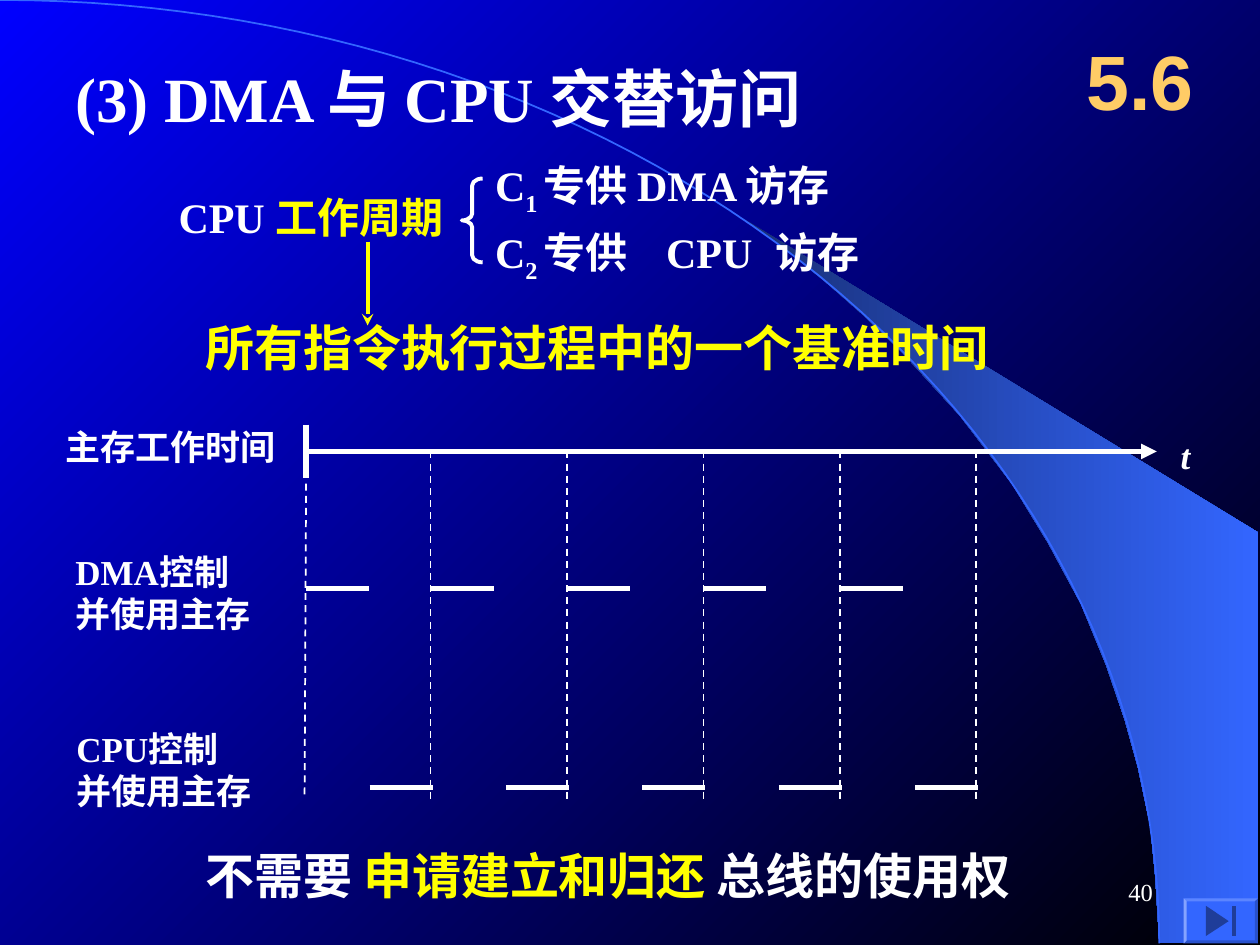
from math import cos, pi, sin

from lxml.etree import SubElement
from pptx import Presentation
from pptx.dml.color import RGBColor
from pptx.enum.dml import MSO_LINE
from pptx.enum.shapes import MSO_CONNECTOR, MSO_SHAPE
from pptx.enum.text import MSO_ANCHOR, PP_ALIGN
from pptx.oxml.ns import qn
from pptx.util import Cm, Pt

WHITE, YELLOW, BLUE = "FFFFFF", "FFFF00", "3366FF"
rgb = RGBColor.from_string

deck = Presentation()
deck.slide_width, deck.slide_height = Cm(25.4), Cm(19.05)
page = deck.slides.add_slide(deck.slide_layouts[6])
shapes = page.shapes


def add_text(left, top, width, height, lines, size, bold=True, font="Times New Roman"):
    """Each line is a list of (text, colour) spans."""
    box = shapes.add_textbox(Cm(left), Cm(top), Cm(width), Cm(height))
    frame = box.text_frame
    frame.word_wrap = True
    for index, spans in enumerate(lines):
        para = frame.paragraphs[0] if index == 0 else frame.add_paragraph()
        for text, color in spans:
            span = para.add_run()
            span.text = text
            span.font.size, span.font.bold, span.font.name = Pt(size), bold, font
            span.font.color.rgb = rgb(color)
    return frame


def add_line(x1, y1, x2, y2, width, color=WHITE, dashed=False, arrow=None):
    line = shapes.add_connector(MSO_CONNECTOR.STRAIGHT, Cm(x1), Cm(y1), Cm(x2), Cm(y2))
    line.line.width = Pt(width)
    line.line.color.rgb = rgb(color)
    if dashed:
        line.line.dash_style = MSO_LINE.DASH
    properties = line._element.spPr
    if arrow:
        SubElement(properties.find(qn("a:ln")), qn("a:tailEnd"), type=arrow)
    SubElement(properties, qn("a:effectLst"))


# Background, blue at top left to black at bottom right
back = page.background.fill
back.gradient()
back.gradient_angle = 315
for stop, color in zip(back.gradient_stops, ("0000FF", "000000")):
    stop.color.rgb = rgb(color)

# Light wedge at the right
wedge_points = [
    (23.37, 19), (25.37, 19.02), (25.37, 10.74), (14.96, 4.39), (15.85, 5.05),
    (16.59, 5.64), (17.4, 6.35), (18.19, 7.11), (19.35, 8.38), (20.4, 9.75),
    (21.13, 10.95), (21.79, 12.17), (22.3, 13.41), (22.68, 14.53),
    (22.94, 15.47), (23.19, 16.66), (23.29, 17.68),
]
points = [(Cm(x), Cm(y)) for x, y in wedge_points]
builder = shapes.build_freeform(*points[0])
builder.add_line_segments(points[1:])
wedge = builder.convert_to_shape()
wedge.shadow.inherit = False
wedge.line.fill.background()
wedge.fill.gradient()
wedge.fill.gradient_angle = 0
for stop, color in zip(wedge.fill.gradient_stops, ("182F76", BLUE)):
    stop.color.rgb = rgb(color)

# Quarter ellipse
angles = [step * pi / 120 for step in range(61)]
points = [(Cm(23.37 * sin(a)), Cm(19.02 * (1 - cos(a)))) for a in angles]
builder = shapes.build_freeform(*points[0])
builder.add_line_segments(points[1:], close=False)
arc = builder.convert_to_shape()
arc.shadow.inherit = False
arc.fill.background()
arc.line.color.rgb = rgb(BLUE)
arc.line.width = Pt(1)

# Title and section number
add_text(1.27, 1.07, 17.58, 1.78, [[("(3) DMA 与 CPU 交替访问", WHITE)]], 36)
section = add_text(21.39, 0.43, 3.18, 2.34, [[("5.6", "FFCC66")]], 44, font="Arial")
section.vertical_anchor = MSO_ANCHOR.MIDDLE
section.paragraphs[0].alignment = PP_ALIGN.CENTER

# CPU cycle and its two parts
add_text(3.35, 3.73, 6.4, 1.27, [[("CPU ", WHITE), ("工作周期", YELLOW)]], 24)
parts = [(3.1, "1 ", "专供 DMA 访存"), (4.45, "2 ", "专供\tCPU\t访存")]
for top, number, use in parts:
    frame = add_text(9.73, top, 11.2, 1.42,
                     [[("C", WHITE), (number, WHITE), (use, WHITE)]], 24)
    para = frame.paragraphs[0]
    para.runs[1]._r.get_or_add_rPr().set("baseline", "-25000")
    if "\t" in use:
        tabs = SubElement(para._p.get_or_add_pPr(), qn("a:tabLst"))
        for position in (3.45, 5.66):
            SubElement(tabs, qn("a:tab"), pos=str(Cm(position)), algn="l")

brace = shapes.add_shape(MSO_SHAPE.LEFT_BRACE, Cm(9.31), Cm(3.6), Cm(0.42), Cm(1.69))
brace.adjustments[0] = 0.33
brace.shadow.inherit = False
brace.fill.background()
brace.line.color.rgb = rgb(WHITE)
brace.line.width = Pt(2.25)

add_text(3.89, 6.27, 19.3, 1.45, [[("所有指令执行过程中的一个基准时间", YELLOW)]], 28)
add_line(7.41, 4.87, 7.41, 6.56, 2.25, YELLOW, arrow="stealth")

# Timing chart: labels
add_text(1.07, 8.46, 5, 1.12, [[("主存工作时间", WHITE)]], 20)
for left, top, user in ((1.27, 10.97, "DMA"), (1.29, 14.55, "CPU")):
    add_text(left, top, 4.4, 1.96,
             [[(user + "控制", WHITE)], [("并使用主存", WHITE)]], 20)
axis_name = add_text(23.55, 8.64, 1, 1.12, [[("t", WHITE)]], 20)
axis_name.paragraphs[0].runs[0].font.italic = True

# Timing chart: axis, cycle borders and access bars
start, cycle, bar = 6.17, 2.75, 1.27
borders = [8.68 + cycle * index for index in range(5)]
add_line(start, 8.56, start, 9.63, 3)
add_line(start, 9.1, 23.32, 9.1, 3, arrow="triangle")
add_line(start, 9.75, 6.14, 16.05, 1, dashed=True)
for dma_left, border in zip([start] + borders, borders):
    add_line(border, 9.1, border, 16.1, 1, dashed=True)
    add_line(dma_left, 11.86, dma_left + bar, 11.86, 3)
    add_line(border + 0.04 - bar, 15.88, border + 0.04, 15.88, 3)

# Conclusion and page number
add_text(3.89, 16.92, 19.3, 1.45,
         [[("不需要 ", WHITE), ("申请建立和归还 ", YELLOW), ("总线的使用权", WHITE)]], 28)
number = add_text(18.21, 17.35, 5.28, 1.27, [[("40", WHITE)]], 14, bold=False)
number.vertical_anchor = MSO_ANCHOR.MIDDLE
number.paragraphs[0].alignment = PP_ALIGN.RIGHT

# Bevelled button: face, four edges, triangle and bar
left, top, right, bottom, edge = 23.86, 18.11, 25.36, 19.02, 0.06
outer = [(left, top), (right, top), (right, bottom), (left, bottom)]
inner = [(left + edge, top + edge), (right - edge, top + edge),
         (right - edge, bottom - edge), (left + edge, bottom - edge)]
button_parts = [(outer, BLUE)]
for side, color in enumerate(("5C85FF", "2952CC", "2952CC", "85A3FF")):
    after = (side + 1) % 4
    button_parts.append(
        ([outer[side], outer[after], inner[after], inner[side]], color))
button_parts += [
    ([(24.77, 18.57), (24.31, 18.87), (24.31, 18.26)], "1F3D99"),
    ([(24.84, 18.26), (24.92, 18.26), (24.92, 18.87), (24.84, 18.87)], "1F3D99"),
]
for corners, color in button_parts:
    points = [(Cm(x), Cm(y)) for x, y in corners]
    builder = shapes.build_freeform(*points[0])
    builder.add_line_segments(points[1:])
    part = builder.convert_to_shape()
    part.shadow.inherit = False
    part.fill.solid()
    part.fill.fore_color.rgb = rgb(color)
    part.line.fill.background()

deck.save("out.pptx")
